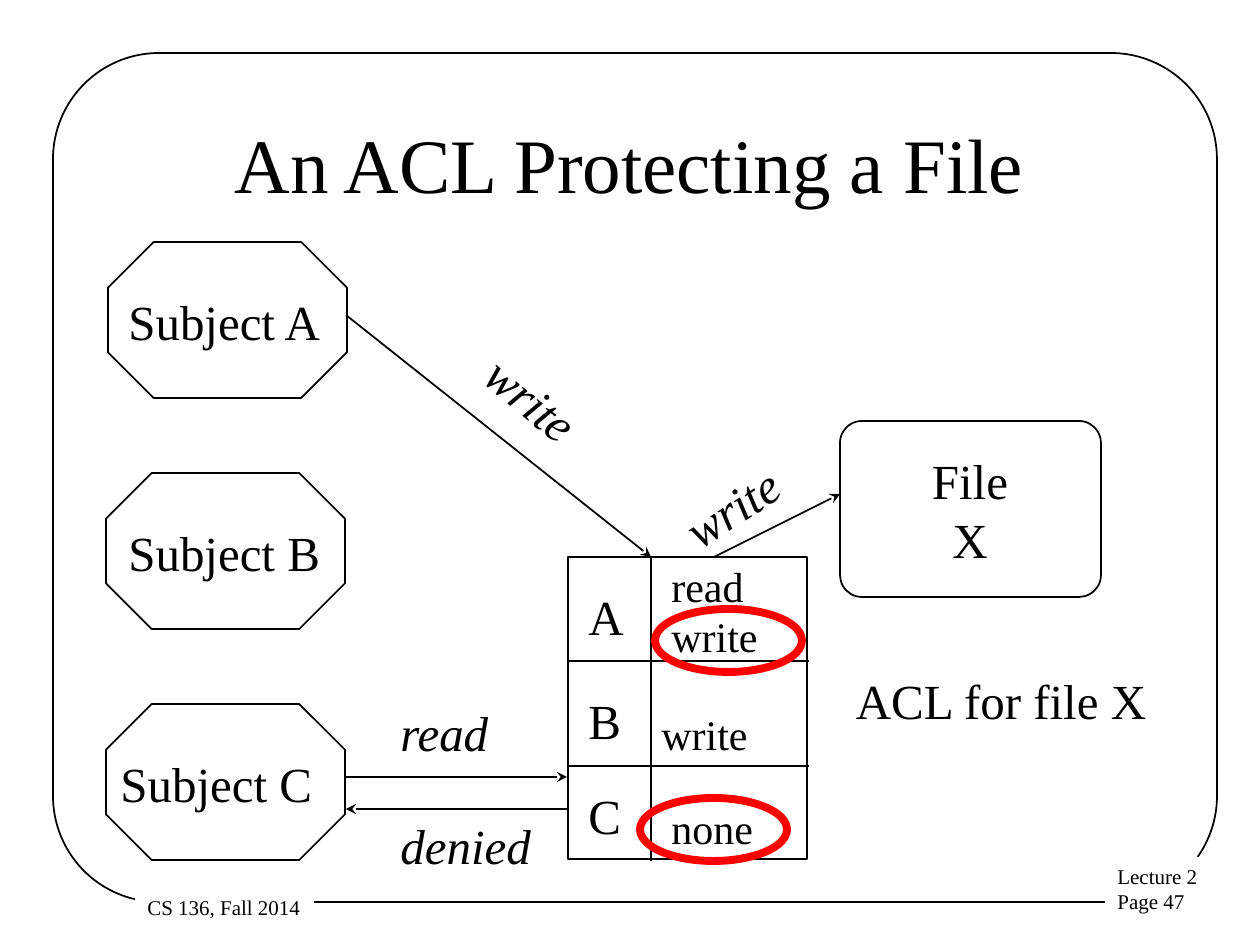
from dataclasses import dataclass

from lxml.etree import SubElement
from pptx import Presentation
from pptx.dml.color import RGBColor
from pptx.enum.shapes import MSO_CONNECTOR as Connector, MSO_SHAPE as Shape
from pptx.enum.text import MSO_ANCHOR as Anchor, MSO_AUTO_SIZE as AutoSize, PP_ALIGN as Align
from pptx.oxml.ns import qn
from pptx.util import Emu, Pt


@dataclass(frozen=True)
class Theme:
    font: str = "Times New Roman"
    ink: RGBColor = RGBColor(0, 0, 0)
    paper: RGBColor = RGBColor(255, 255, 255)
    mark: RGBColor = RGBColor(255, 0, 0)
    title: int = 44
    label: int = 28
    right: int = 24
    footer: int = 12
    thin: float = 1
    thick: float = 4.5


theme = Theme()
EMU_PER_PX = 914400 / 126

FRAME = (53, 53, 1164, 849)
TITLE = ("An ACL Protecting a File", (94, 84, 1071, 158))
FOOTERS = [
    ("Lecture 2\nPage 47", (1105, 857, 160, 63)),
    ("CS 136, Fall 2014", (135, 888, 179, 38)),
]
SUBJECTS = [("Subject A", 108, 116), ("Subject B", 106, 116), ("Subject C", 106, 108)]
SUBJECT_TOP, SUBJECT_PITCH, SUBJECT_SIZE = 242, 231, (239, 156)
FILE_BOX = (840, 421, 261, 176)
CENTERED_LABELS = [
    ("File\nX", (919, 444, 102, 131)),
    ("ACL for file X", (842, 664, 318, 72)),
]
ACL_BOX = (568, 557, 239, 302)
ACL_RULES = [
    ((567, 661), (809, 661)),
    ((567, 766), (809, 766)),
    ((651, 557), (651, 861)),
]
ACL_NAMES = [("A", 580), ("B", 684), ("C", 779)]
ACL_RIGHTS = [
    ("read\nwrite", (659, 554, 112, 113)),
    ("write", (649, 702, 112, 63)),
    ("none", (659, 796, 107, 63)),
]
ARROWS = [
    ((346, 315), (651, 557)),
    ((714, 557), (840, 494)),
    ((346, 777), (567, 777)),
    ((567, 809), (346, 809)),
]
REQUESTS = [
    ("write", (469, 363, 126, 72), 40),
    ("write", (669, 471, 126, 72), 327),
    ("read", (388, 696, 115, 72), 0),
    ("denied", (388, 809, 156, 72), 0),
]
HIGHLIGHTS = [(655, 609, 147, 63), (640, 798, 147, 63)]


def emu(*lengths):
    return [Emu(round(length * EMU_PER_PX)) for length in lengths]


def add_outline(page, kind, place, color=theme.ink, width=theme.thin, corner=None):
    shape = page.shapes.add_shape(kind, *emu(*place))
    shape.shadow.inherit = False
    shape.fill.background()
    shape.line.color.rgb = color
    shape.line.width = Pt(width)
    if corner is not None:
        shape.adjustments[0] = corner
    return shape


def add_text(page, text, place, size=theme.label, align=Align.LEFT, italic=False, turn=0):
    box = page.shapes.add_textbox(*emu(*place))
    box.rotation = turn
    frame = box.text_frame
    frame.text = text
    frame.word_wrap = False
    frame.auto_size = AutoSize.SHAPE_TO_FIT_TEXT
    for para in frame.paragraphs:
        para.alignment = align
        for span in para.runs:
            span.font.name = theme.font
            span.font.size = Pt(size)
            span.font.italic = italic
            span.font.color.rgb = theme.ink
    return box


def add_line(page, start, end, arrow=False):
    line = page.shapes.add_connector(Connector.STRAIGHT, *emu(*start, *end))
    line.line.color.rgb = theme.ink
    line.line.width = Pt(theme.thin)
    if arrow:
        SubElement(line.line._get_or_add_ln(), qn("a:tailEnd"), type="stealth")
    SubElement(line._element.spPr, qn("a:effectLst"))


def add_background(page):
    add_outline(page, Shape.ROUNDED_RECTANGLE, FRAME, corner=0.125)
    for text, place in FOOTERS:
        box = add_text(page, text, place, theme.footer)
        box.fill.solid()
        box.fill.fore_color.rgb = theme.paper
    title = add_text(page, *TITLE, theme.title, Align.CENTER)
    title.text_frame.auto_size = AutoSize.NONE
    title.text_frame.word_wrap = True
    title.text_frame.vertical_anchor = Anchor.MIDDLE


def add_subjects(page):
    for index, (name, left, text_left) in enumerate(SUBJECTS):
        top = SUBJECT_TOP + index * SUBJECT_PITCH
        add_outline(page, Shape.OCTAGON, (left, top, *SUBJECT_SIZE), corner=0.293)
        add_text(page, name, (text_left, top + 43, 218, 72))


def add_acl(page):
    add_outline(page, Shape.ROUNDED_RECTANGLE, FILE_BOX, corner=0.125)
    add_outline(page, Shape.RECTANGLE, ACL_BOX)
    for text, place in CENTERED_LABELS:
        add_text(page, text, place, align=Align.CENTER)
    for start, end in ACL_RULES:
        add_line(page, start, end)
    for name, top in ACL_NAMES:
        add_text(page, name, (576, top, 59, 72))
    for text, place in ACL_RIGHTS:
        add_text(page, text, place, theme.right)


def add_requests(page):
    for start, end in ARROWS:
        add_line(page, start, end, arrow=True)
    for text, place, turn in REQUESTS:
        add_text(page, text, place, italic=True, turn=turn)
    for place in HIGHLIGHTS:
        add_outline(page, Shape.OVAL, place, theme.mark, theme.thick)


def main():
    deck = Presentation()
    deck.slide_width, deck.slide_height = emu(1260, 945)
    page = deck.slides.add_slide(deck.slide_layouts[6])
    add_background(page)
    add_subjects(page)
    add_acl(page)
    add_requests(page)
    deck.save("out.pptx")


if __name__ == "__main__":
    main()
